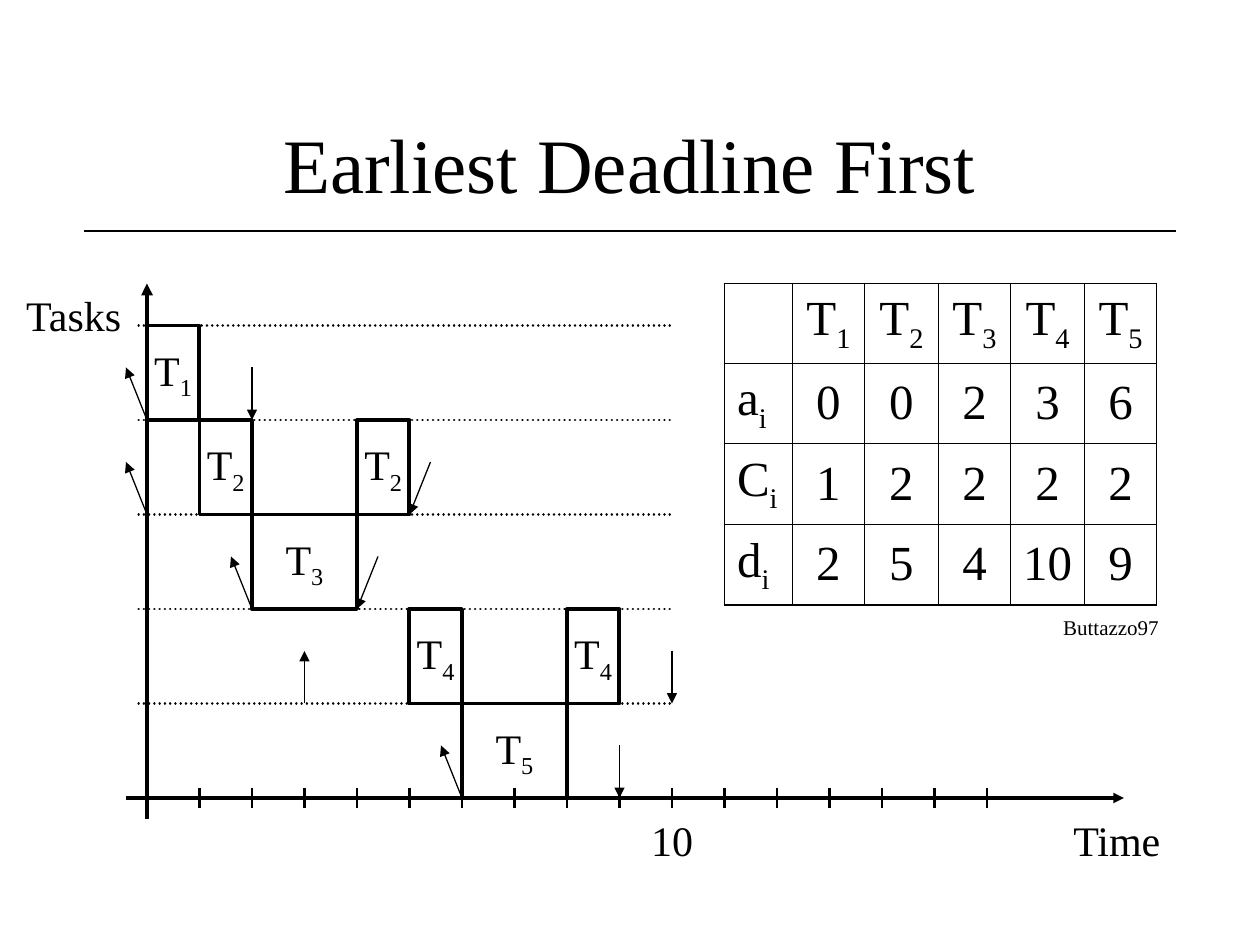
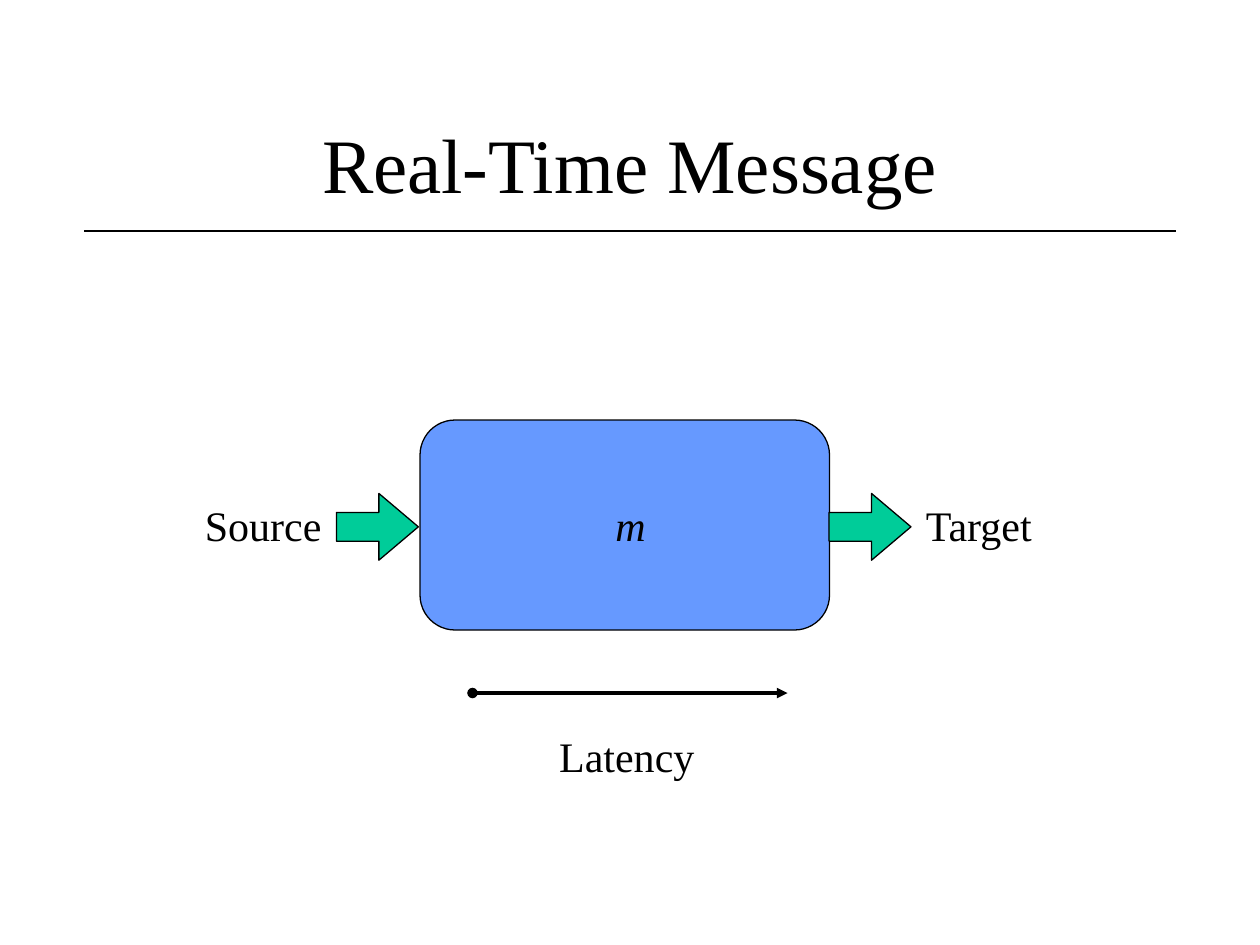
from dataclasses import dataclass
from typing import Optional

from lxml import etree
from pptx import Presentation
from pptx import util as u
from pptx.dml.color import RGBColor
from pptx.enum import dml, shapes, text
from pptx.oxml import ns

FONT = "Times New Roman"
BLACK, BLUE, GREEN = "000000", "6699FF", "00CC99"
RULE_Y = 11 / 6

# Schedule axes: inches per time unit, time zero, and the task lanes
ORIGIN, UNIT = 7 / 6, 5 / 12
LANE_TOP, LANE_HEIGHT = 31 / 12, 0.75
AXIS_Y, LAST_TICK, GRID_END = 19 / 3, 16, 10
TICK_REACH = 1 / 12
SLANT = 1 / 6

# Message row: top of the arrows and their labels
FLOW_TOP = 47 / 12


@dataclass
class Task:
    """Execution slots and the arrival and deadline marks of one lane."""
    label: str
    slots: list[tuple[int, int]]
    arrival: int
    computation: int
    deadline: int
    arrival_slants: bool = True
    deadline_slants: bool = True


@dataclass
class Label:
    words: str
    left: float
    top: float
    width: float
    height: float = 0.5
    size: float = 24
    align: str = "LEFT"
    italic: bool = False


TASKS = [
    Task("T_1", [(0, 1)], 0, 1, 2, deadline_slants=False),
    Task("T_2", [(1, 2), (4, 5)], 0, 2, 5),
    Task("T_3", [(2, 4)], 2, 2, 4),
    Task("T_4", [(5, 6), (8, 9)], 3, 2, 10, False, False),
    Task("T_5", [(6, 8)], 6, 2, 9, deadline_slants=False),
]
SCHEDULE_LABELS = [
    Label("Time", 8.42, AXIS_Y + TICK_REACH, 0.9),
    Label("Tasks", 0.11, 2.25, 0.98),
    Label("10", 5.07, AXIS_Y + TICK_REACH, 0.53),
    Label("Buttazzo97", 8.34, 4.83, 0.96, 0.3, 12),
]
MESSAGE_LABELS = [
    Label("m", 4.67, FLOW_TOP, 0.67, align="CENTER", italic=True),
    Label("Source", 1.45, FLOW_TOP, 1.2, align="RIGHT"),
    Label("Target", 7.25, FLOW_TOP, 1.07),
    Label("Latency", 4.34, 5.75, 1.27, align="CENTER"),
]


def colour(value: str) -> RGBColor:
    return RGBColor.from_string(value)


def write(frame, words: str, *, size: float = 24, align: str = "LEFT",
          italic: bool = False) -> None:
    """Fill a text frame; what follows an underscore becomes a subscript."""
    paragraph = frame.paragraphs[0]
    paragraph.alignment = getattr(text.PP_ALIGN, align)
    for level, part in enumerate(words.split("_")):
        run = paragraph.add_run()
        run.text = part
        run.font.name = FONT
        run.font.size = u.Pt(size)
        run.font.italic = italic
        run.font.color.rgb = colour(BLACK)
        if level:
            run._r.get_or_add_rPr().set("baseline", "-25000")


def add_label(slide, label: Label) -> None:
    box = slide.shapes.add_textbox(*map(u.Inches, (label.left, label.top,
                                                   label.width, label.height)))
    box.text_frame.word_wrap = False
    write(box.text_frame, label.words, size=label.size, align=label.align,
          italic=label.italic)


def add_line(slide, start: tuple[float, float], end: tuple[float, float],
             width: float = 0.75, head: Optional[str] = None,
             tail: Optional[str] = None, dotted: bool = False) -> None:
    line = slide.shapes.add_connector(shapes.MSO_CONNECTOR.STRAIGHT,
                                      *map(u.Inches, (*start, *end)))
    line.line.width = u.Pt(width)
    line.line.color.rgb = colour(BLACK)
    outline = line.line._get_or_add_ln()
    if dotted:
        line.line.dash_style = dml.MSO_LINE.ROUND_DOT
        outline.set("cap", "rnd")
    for tag, kind in (("a:headEnd", head), ("a:tailEnd", tail)):
        if kind:
            etree.SubElement(outline, ns.qn(tag), type=kind)
    etree.SubElement(line._element.spPr, ns.qn("a:effectLst"))


def add_block(slide, kind, left: float, top: float, width: float, height: float,
              fill: Optional[str] = None, line_width: float = 0.75):
    block = slide.shapes.add_shape(kind, *map(u.Inches, (left, top, width, height)))
    block.shadow.inherit = False
    if fill:
        block.fill.solid()
        block.fill.fore_color.rgb = colour(fill)
    else:
        block.fill.background()
    block.line.color.rgb = colour(BLACK)
    block.line.width = u.Pt(line_width)
    return block


def add_titled_slide(prs, words: str):
    slide = prs.slides.add_slide(prs.slide_layouts[5])
    title = slide.shapes.title
    title.left, title.top, title.width, title.height = map(
        u.Inches, (0.75, 0.67, 8.5, 1.25))
    title.text_frame.auto_size = text.MSO_AUTO_SIZE.NONE
    title.text_frame.vertical_anchor = text.MSO_ANCHOR.MIDDLE
    write(title.text_frame, words, size=44, align="CENTER")
    add_line(slide, (0.67, RULE_Y), (9.33, RULE_Y))
    return slide


def time_x(time: float) -> float:
    return ORIGIN + time * UNIT


def add_axes(slide) -> None:
    add_line(slide, (1, AXIS_Y), (8.92, AXIS_Y), 2, tail="triangle")
    add_line(slide, (ORIGIN, 6.5), (ORIGIN, 2.25), 2.25, tail="triangle")
    for tick in range(1, LAST_TICK + 1):
        add_line(slide, (time_x(tick), AXIS_Y - TICK_REACH),
                 (time_x(tick), AXIS_Y + TICK_REACH), 1.5)


def add_lane(slide, task: Task, top: float) -> None:
    add_line(slide, (1.1, top), (time_x(GRID_END), top), 1.5, dotted=True)
    for start, end in task.slots:
        slot = add_block(slide, shapes.MSO_SHAPE.RECTANGLE, time_x(start), top,
                         (end - start) * UNIT, LANE_HEIGHT, line_width=2.25)
        slot.text_frame.word_wrap = False
        slot.text_frame.vertical_anchor = text.MSO_ANCHOR.MIDDLE
        write(slot.text_frame, task.label, align="CENTER")
    bottom = top + LANE_HEIGHT
    arrow_top = bottom - UNIT
    arrival, deadline = time_x(task.arrival), time_x(task.deadline)
    add_line(slide, (arrival - SLANT * task.arrival_slants, arrow_top),
             (arrival, bottom), head="triangle")
    add_line(slide, (deadline + SLANT * task.deadline_slants, arrow_top),
             (deadline, bottom), tail="triangle")


def add_border(cell, side: str, width: float) -> None:
    edge = etree.SubElement(cell._tc.get_or_add_tcPr(), ns.qn(f"a:ln{side}"),
                            w=str(int(u.Pt(width))))
    fill = etree.SubElement(edge, ns.qn("a:solidFill"))
    etree.SubElement(fill, ns.qn("a:srgbClr"), val=BLACK)


def add_task_table(slide) -> None:
    rows = [
        ["", *(task.label for task in TASKS)],
        ["a_i", *(str(task.arrival) for task in TASKS)],
        ["C_i", *(str(task.computation) for task in TASKS)],
        ["d_i", *(str(task.deadline) for task in TASKS)],
    ]
    widths, heights = [0.54, 0.57, 0.59, 0.57, 0.59, 0.57], [0.63, 0.64, 0.64, 0.64]
    table = slide.shapes.add_table(
        len(rows), len(widths), u.Inches(5.75), u.Inches(2.25),
        u.Inches(sum(widths)), u.Inches(sum(heights))).table
    table.first_row = table.horz_banding = False
    for column, width in zip(table.columns, widths):
        column.width = u.Inches(width)
    for r, (values, height) in enumerate(zip(rows, heights)):
        table.rows[r].height = u.Inches(height)
        for c, value in enumerate(values):
            cell = table.cell(r, c)
            cell.vertical_anchor = text.MSO_ANCHOR.MIDDLE
            if value:
                write(cell.text_frame, value, size=28,
                      align="CENTER" if c else "LEFT")
            outer = {"L": c == 0, "R": c == len(widths) - 1,
                     "T": r == 0, "B": r == len(rows) - 1}
            for side, is_outer in outer.items():
                add_border(cell, side, 1.08 if is_outer else 0.45)
            cell.fill.background()


def build_schedule(prs) -> None:
    slide = add_titled_slide(prs, "Earliest Deadline First")
    add_axes(slide)
    for lane, task in enumerate(TASKS):
        add_lane(slide, task, LANE_TOP + lane * LANE_HEIGHT)
    add_task_table(slide)
    for label in SCHEDULE_LABELS:
        add_label(slide, label)


def build_message(prs) -> None:
    slide = add_titled_slide(prs, "Real-Time Message")
    add_block(slide, shapes.MSO_SHAPE.FLOWCHART_ALTERNATE_PROCESS,
              10 / 3, 10 / 3, 3.25, 5 / 3, BLUE)
    for left in (2.67, 6.58):
        flow = add_block(slide, shapes.MSO_SHAPE.RIGHT_ARROW,
                         left, FLOW_TOP, 0.65, 0.53, GREEN)
        flow.adjustments[0], flow.adjustments[1] = 0.43, 0.59
    add_line(slide, (3.75, 5.5), (6.25, 5.5), 2, head="oval", tail="triangle")
    for label in MESSAGE_LABELS:
        add_label(slide, label)


def main() -> None:
    prs = Presentation()
    prs.slide_width, prs.slide_height = u.Inches(10), u.Inches(7.5)
    build_schedule(prs)
    build_message(prs)
    prs.save("out.pptx")


if __name__ == "__main__":
    main()
